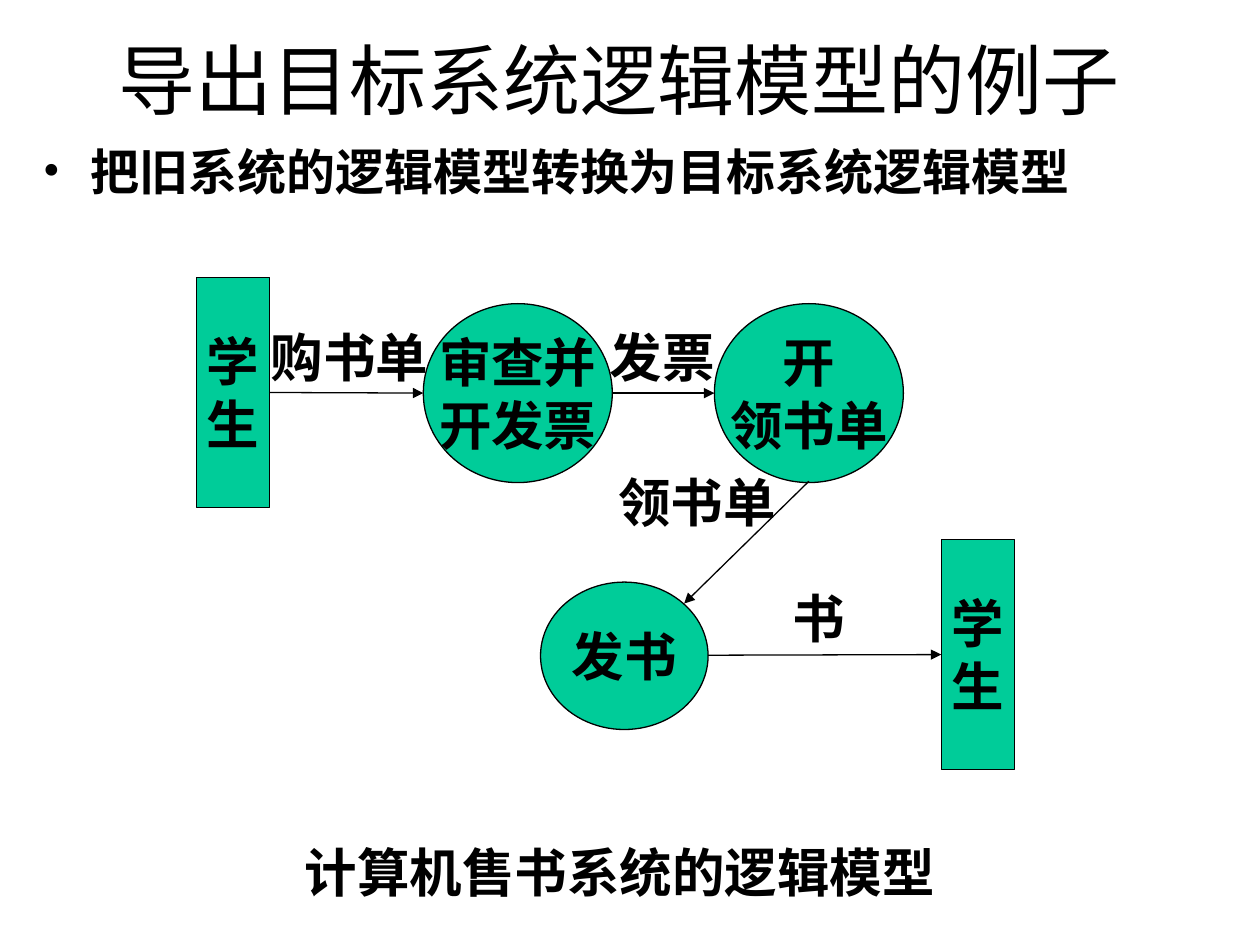
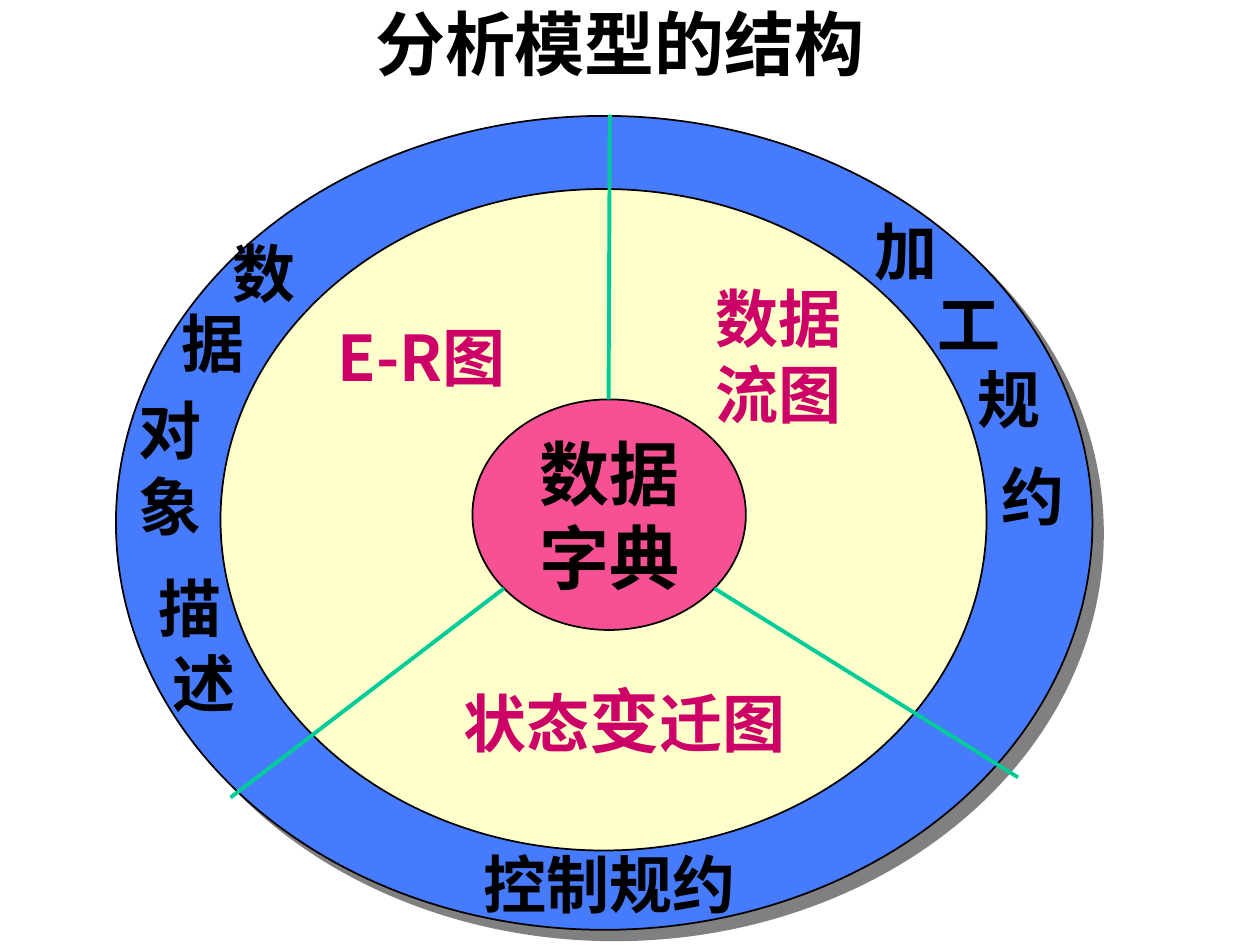
from dataclasses import dataclass, replace
from typing import Any

from lxml.etree import SubElement
from pptx import Presentation
from pptx.dml.color import RGBColor
from pptx.enum.shapes import MSO_CONNECTOR, MSO_SHAPE
from pptx.enum.text import MSO_ANCHOR, PP_ALIGN
from pptx.oxml.ns import qn
from pptx.util import Inches, Pt

BLACK, GREEN, BLUE = "000000", "00CC99", "477BFD"
CREAM, PINK, ROSE, GRAY = "FFFFCC", "F75194", "CC0066", "808080"
ROMAN, ARIAL, NOTO = "Times New Roman", "Arial", "Noto Sans CJK SC"


@dataclass(frozen=True)
class Look:
    """Font and layout of a text."""
    size: float
    face: str = NOTO
    color: str = BLACK
    bold: bool = True
    mid: bool = False
    wrap: bool = False


@dataclass(frozen=True)
class Box:
    """A place on the slide, in inches, with its text."""
    left: float
    top: float
    width: float
    height: float
    text: str = ""


@dataclass(frozen=True)
class Line:
    """A straight line between two points, in inches."""
    x1: float
    y1: float
    x2: float
    y2: float


TITLE = Look(44, ROMAN, bold=False, mid=True, wrap=True)
NODE = Look(30, ROMAN, mid=True)
FLOW = Look(30, ARIAL)
RING = Look(36)
CHART = Look(36, color=ROSE, wrap=True)
CORE = Look(40, mid=True)


def paint(color: str) -> RGBColor:
    """Turn a hex string into a colour."""
    return RGBColor.from_string(color)


def dress(run: Any, look: Look) -> None:
    """Give a run its font."""
    font = run.font
    font.size, font.bold, font.name = Pt(look.size), look.bold, look.face
    font.color.rgb = paint(look.color)
    SubElement(font._element, qn("a:ea")).set("typeface", NOTO)


def write(shape: Any, text: str, look: Look) -> None:
    """Set the text of a shape and format it."""
    frame = shape.text_frame
    frame.text = text
    frame.word_wrap = look.wrap
    frame.vertical_anchor = MSO_ANCHOR.MIDDLE if look.mid else MSO_ANCHOR.TOP
    for para in frame.paragraphs:
        para.alignment = PP_ALIGN.CENTER if look.mid else PP_ALIGN.LEFT
        for run in para.runs:
            dress(run, look)


def place(box: Box) -> tuple:
    """Give the frame of a box as lengths."""
    return tuple(Inches(n) for n in (box.left, box.top, box.width, box.height))


def label(slide: Any, box: Box, look: Look) -> Any:
    """Add a text box."""
    shape = slide.shapes.add_textbox(*place(box))
    write(shape, box.text, look)
    return shape


def solid(slide: Any, kind: MSO_SHAPE, box: Box, fill: str,
          weight: float, look: Look) -> Any:
    """Add a filled shape with a black edge."""
    shape = slide.shapes.add_shape(kind, *place(box))
    shape.shadow.inherit = False
    shape.fill.solid()
    shape.fill.fore_color.rgb = paint(fill)
    shape.line.color.rgb = paint(BLACK)
    shape.line.width = Pt(weight)
    if box.text:
        write(shape, box.text, look)
    return shape


def link(slide: Any, line: Line, color: str, weight: float,
         arrow: bool = False) -> Any:
    """Add a straight line, with or without an arrowhead."""
    ends = (Inches(n) for n in (line.x1, line.y1, line.x2, line.y2))
    wire = slide.shapes.add_connector(MSO_CONNECTOR.STRAIGHT, *ends)
    wire.line.color.rgb = paint(color)
    wire.line.width = Pt(weight)
    if arrow:
        SubElement(wire.line._get_or_add_ln(), qn("a:tailEnd")).set("type", "triangle")
    SubElement(wire._element.spPr, qn("a:effectLst"))
    return wire


def bullet(shape: Any) -> None:
    """Turn the first line of a text box into a bullet."""
    frame = shape.text_frame
    frame.margin_left = frame.margin_right = Inches(0.09)
    frame.margin_top = frame.margin_bottom = Inches(0.04)
    para = frame.paragraphs[0]
    para.line_spacing = 0.8
    props = para._p.get_or_add_pPr()
    props.set("marL", str(Inches(0.38)))
    props.set("indent", str(-Inches(0.38)))
    SubElement(props, qn("a:buFont")).set("typeface", ROMAN)
    SubElement(props, qn("a:buChar")).set("char", "•")


def shade(shape: Any) -> None:
    """Cast a hard gray shadow down and right."""
    group = shape._element.spPr.find(qn("a:effectLst"))
    cast = SubElement(group, qn("a:outerShdw"), dist=str(Pt(8.5)),
                      dir=str(45 * 60000), algn="ctr", rotWithShape="0")
    SubElement(cast, qn("a:srgbClr")).set("val", GRAY)


def flow_slide(slide: Any) -> None:
    """Draw the data flow of the book sale system."""
    label(slide, Box(0.67, 0, 8.5, 1.25, "导出目标系统逻辑模型的例子"), TITLE)
    bullet(label(slide, Box(0.25, 1.17, 9.75, 0.48, "把旧系统的逻辑模型转换为目标系统逻辑模型"),
                 Look(28, ROMAN, wrap=True)))

    start, goal = (
        solid(slide, MSO_SHAPE.RECTANGLE, Box(left, top, 0.58, 1.83, "学\n生"),
              GREEN, 0.75, NODE)
        for left, top in ((1.56, 2.2), (7.47, 4.28)))
    for box in (Box(3.36, 2.41, 1.5, 1.42, "审查并\n开发票"),
                Box(5.67, 2.41, 1.5, 1.42, "开\n领书单"),
                Box(4.29, 4.62, 1.33, 1.17, "发书")):
        solid(slide, MSO_SHAPE.OVAL, box, GREEN, 0.75, NODE)

    for box in (Box(2.05, 2.53, 1.45, 0.6, "购书单"),
                Box(4.74, 2.53, 1.03, 0.6, "发票"),
                Box(4.81, 3.68, 1.45, 0.6, "领书单"),
                Box(6.19, 4.6, 0.61, 0.6, "书"),
                Box(2.32, 6.62, 5.2, 0.6, "计算机售书系统的逻辑模型")):
        label(slide, box, FLOW)

    order, bill, slip, book = (
        link(slide, line, BLACK, 0.75, True)
        for line in (Line(2.14, 3.12, 3.36, 3.12), Line(4.86, 3.12, 5.67, 3.12),
                     Line(6.42, 3.82, 5.43, 4.79), Line(5.62, 5.2, 7.47, 5.2)))
    order.begin_connect(start, 3)
    book.end_connect(goal, 1)


def model_slide(slide: Any) -> None:
    """Draw the rings of the analysis model."""
    rings = [solid(slide, MSO_SHAPE.OVAL, box, fill, 1, CORE)
             for box, fill in ((Box(0.92, 0.92, 7.75, 6.46), BLUE),
                               (Box(1.75, 1.5, 6.08, 5.25), CREAM),
                               (Box(3.75, 3.17, 2.17, 1.83, "数据\n字典"), PINK))]
    shade(rings[0])
    for line in (Line(4.84, 0.91, 4.83, 3.17), Line(5.67, 4.67, 8.08, 6.17),
                 Line(4, 4.67, 1.83, 6.33)):
        link(slide, line, GREEN, 2.25)

    for box in (Box(5.58, 2.17, 1.23, 1.3, "数据\n流图"),
                Box(2.58, 2.48, 1.67, 0.7, "E-R图")):
        label(slide, box, CHART)
    state = label(slide, Box(3.58, 5.33, 3, 0.77, "状态"), CHART)
    for text, size in (("变", 40), ("迁图", 36)):
        run = state.text_frame.paragraphs[0].add_run()
        run.text = text
        dress(run, replace(CHART, size=size))

    for box in (Box(6.84, 1.64, 0.7, 0.7, "加"), Box(7.34, 2.22, 0.7, 0.7, "工"),
                Box(7.66, 2.81, 0.7, 0.7, "规"), Box(7.85, 3.58, 0.7, 0.7, "约"),
                Box(3.74, 6.66, 2.2, 0.7, "控制规约"),
                Box(1.75, 1.81, 0.7, 0.7, "数"), Box(1.34, 2.37, 0.7, 0.7, "据"),
                Box(1, 3.06, 0.7, 1.3, "对\n象")):
        label(slide, box, RING)
    tell = label(slide, Box(1.16, 4.47, 0.81, 1.3, "描\n述"), RING)
    last = tell.text_frame.paragraphs[-1]._p.get_or_add_pPr()
    last.set("marL", str(Inches(0.11)))

    label(slide, Box(0.67, 0, 8.5, 0.68, "分析模型的结构"),
          replace(TITLE, size=40, bold=True))


def main() -> None:
    """Build and save the slides."""
    deck = Presentation()
    deck.slide_width, deck.slide_height = Inches(10), Inches(7.5)
    for draw in (flow_slide, model_slide):
        draw(deck.slides.add_slide(deck.slide_layouts[6]))
    deck.save("out.pptx")


if __name__ == "__main__":
    main()
